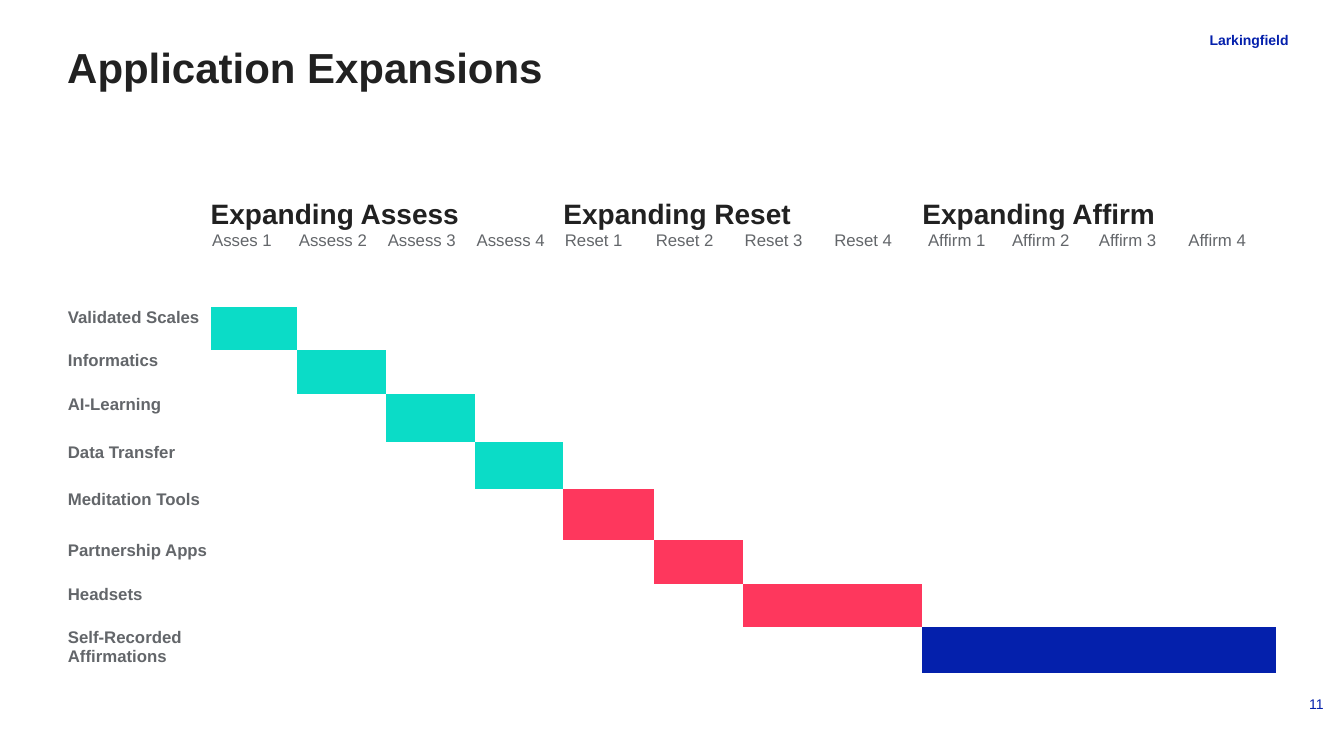
from dataclasses import dataclass

from pptx import Presentation
from pptx.dml.color import RGBColor
from pptx.enum import text
from pptx.oxml import ns
from pptx.util import Pt

TITLE = "Application Expansions"
COMPANY = "Larkingfield"
PAGE_NUMBER = "11"

# heading, first column, columns spanned
PHASES = [("Expanding Assess", 1, 4), ("Expanding Reset", 5, 4), ("Expanding Affirm", 9, 3)]
STAGES = ["Asses 1", "Assess 2", "Assess 3", "Assess 4",
          "Reset 1", "Reset 2", "Reset 3", "Reset 4",
          "Affirm 1", "Affirm 2", "Affirm 3", "Affirm 4"]
# label, bar colour, first column, last column
TASKS = [
    ("Validated Scales", "teal", 1, 1),
    ("Informatics", "teal", 2, 2),
    ("AI-Learning", "teal", 3, 3),
    ("Data Transfer", "teal", 4, 4),
    ("Meditation Tools", "red", 5, 5),
    ("Partnership Apps", "red", 6, 6),
    ("Headsets", "red", 7, 8),
    ("Self-Recorded Affirmations", "blue", 9, 12),
]
COLUMN_WIDTHS = [103, 62, 63.5, 63.5, 63, 65, 63.5, 64, 64, 63, 62, 64, 63.5]
ROW_HEIGHTS = [32, 26, 29, 30.5, 31.5, 34.5, 33.5, 36, 31.5, 31, 33]
FIRST_TASK_ROW = 3
NO_STYLE = "{2D5ABB26-0587-4C30-8999-92F81FD0307C}"


@dataclass(frozen=True)
class Theme:
    font: str = "Arial"
    ink: str = "212121"
    grey: str = "63666A"
    teal: str = "0BDCC7"
    red: str = "FE375D"
    blue: str = "0420AC"
    title: int = 30
    heading: int = 20
    body: int = 12
    small: int = 10


THEME = Theme()


def write(holder, words, size, color, bold=False, align=text.PP_ALIGN.LEFT):
    para = holder.text_frame.paragraphs[0]
    para.text = words
    para.alignment = align
    para.font.name = THEME.font
    para.font.size = Pt(size)
    para.font.bold = bold
    para.font.color.rgb = RGBColor.from_string(color)


def set_margins(holder, left, top, right, bottom):
    holder.margin_left, holder.margin_top = Pt(left), Pt(top)
    holder.margin_right, holder.margin_bottom = Pt(right), Pt(bottom)


def add_title(page):
    title = page.shapes.title
    title.left, title.top, title.width, title.height = Pt(48), Pt(29.5), Pt(798.5), Pt(36)
    set_margins(title.text_frame, 0, 0, 0, 0)
    title.text_frame.vertical_anchor = text.MSO_ANCHOR.TOP
    title.text_frame.auto_size = text.MSO_AUTO_SIZE.NONE
    write(title, TITLE, THEME.title, THEME.ink, bold=True)


def add_schedule(page):
    frame = page.shapes.add_table(len(ROW_HEIGHTS), len(COLUMN_WIDTHS), Pt(47.5), Pt(132.5),
                                  Pt(sum(COLUMN_WIDTHS)), Pt(sum(ROW_HEIGHTS)))
    table = frame.table
    table.first_row = table.horz_banding = False
    table._tbl.tblPr.find(ns.qn("a:tableStyleId")).text = NO_STYLE
    for column, width in zip(table.columns, COLUMN_WIDTHS):
        column.width = Pt(width)
    for row, height in zip(table.rows, ROW_HEIGHTS):
        row.height = Pt(height)
    for cell in table.iter_cells():
        set_margins(cell, 1, 1, 1, 0)
        cell.fill.background()
        cell.text_frame.paragraphs[0].font.size = Pt(THEME.body)

    for heading, first, span in PHASES:
        cell = table.cell(0, first)
        cell.merge(table.cell(0, first + span - 1))
        set_margins(cell, 0, 0, 0, 0)
        cell.vertical_anchor = text.MSO_ANCHOR.BOTTOM
        write(cell, heading, THEME.heading, THEME.ink, bold=True)
    for column, stage in enumerate(STAGES, start=1):
        write(table.cell(1, column), stage, THEME.body, THEME.grey)
    table.cell(1, STAGES.index("Affirm 1") + 1).margin_left = Pt(4)
    for row, (label, color, first, last) in enumerate(TASKS, start=FIRST_TASK_ROW):
        write(table.cell(row, 0), label, THEME.body, THEME.grey, bold=True)
        for column in range(first, last + 1):
            bar = table.cell(row, column).fill
            bar.solid()
            bar.fore_color.rgb = RGBColor.from_string(getattr(THEME, color))


def add_page_marks(page):
    number = page.shapes.add_textbox(Pt(916.5), Pt(489.5), Pt(36), Pt(26))
    number.text_frame.word_wrap = True
    number.text_frame.vertical_anchor = text.MSO_ANCHOR.MIDDLE
    write(number, PAGE_NUMBER, THEME.small, THEME.blue, align=text.PP_ALIGN.RIGHT)

    company = page.shapes.add_textbox(Pt(864), Pt(22.5), Pt(61), Pt(36))
    company.text_frame.word_wrap = False
    set_margins(company.text_frame, 0, 0, 0, 0)
    write(company, COMPANY, THEME.small, THEME.blue, bold=True)


def main():
    deck = Presentation()
    deck.slide_width, deck.slide_height = Pt(960), Pt(540)
    page = deck.slides.add_slide(deck.slide_layouts[5])
    add_schedule(page)
    add_title(page)
    add_page_marks(page)
    deck.save("out.pptx")


if __name__ == "__main__":
    main()
